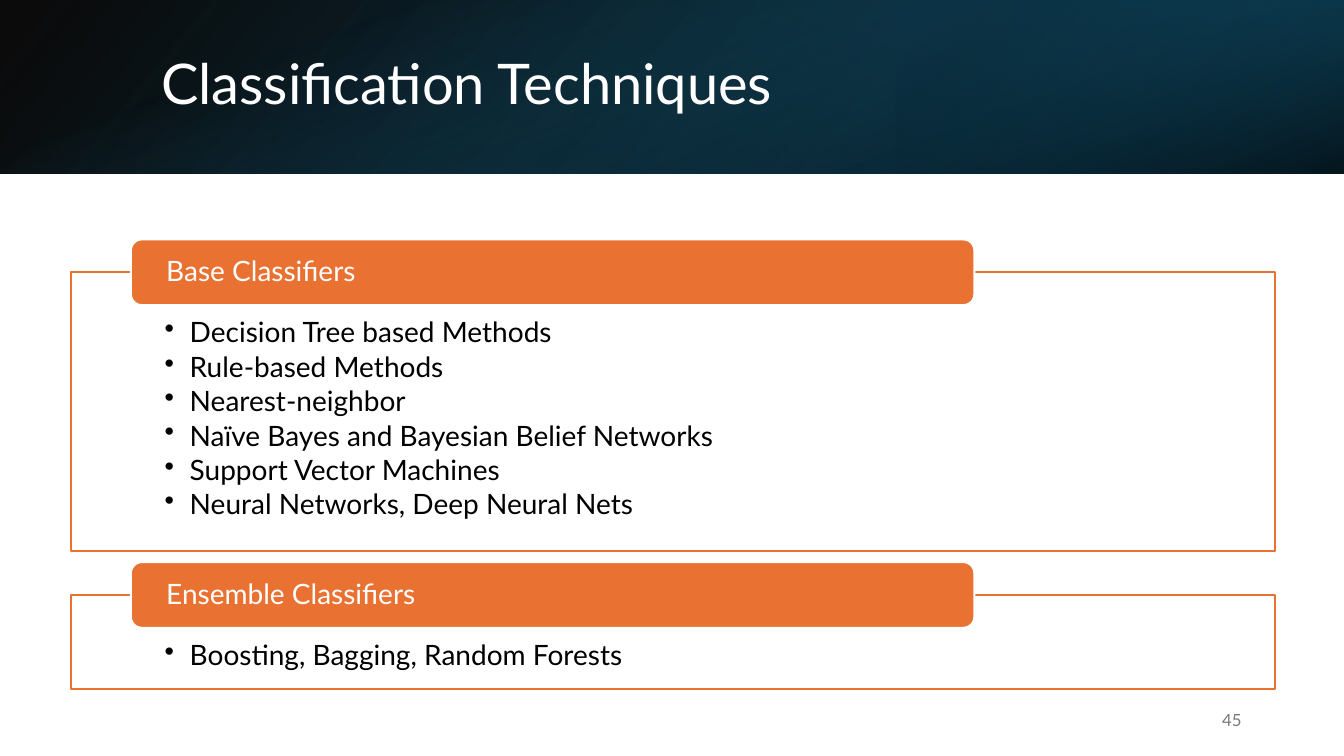
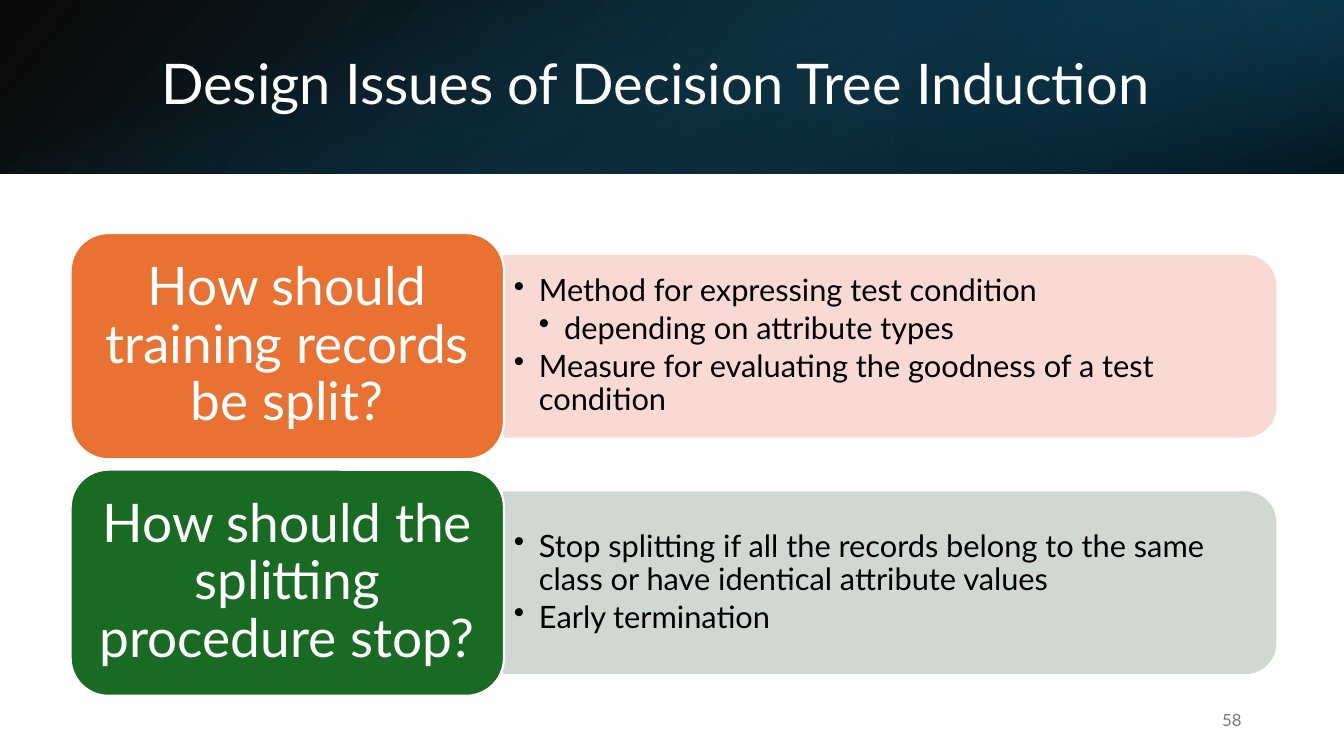
import lxml.etree
import pptx
import pptx.dml.color
import pptx.enum.shapes
import pptx.enum.text
import pptx.oxml.ns
import pptx.util

Pt = pptx.util.Pt
Kind = pptx.enum.shapes.MSO_SHAPE
Align = pptx.enum.text.PP_ALIGN
Anchor = pptx.enum.text.MSO_ANCHOR
qn = pptx.oxml.ns.qn
colour = pptx.dml.color.RGBColor.from_string

WHITE, BLACK, GREY = "FFFFFF", "000000", "797979"
ORANGE, GREEN = "E97132", "196B24"
PALE_ORANGE, PALE_GREEN = "F8D9D3", "D1D8D2"
WIDTH, HEIGHT, BAND_HEIGHT = 960, 540, 124
MARGIN, CONTENT_WIDTH = 50.5, 860.5


def add_panel(slide, kind, left, top, width, height, fill, line):
    panel = slide.shapes.add_shape(kind, Pt(left), Pt(top), Pt(width), Pt(height))
    panel.shadow.inherit = False
    panel.fill.solid()
    panel.fill.fore_color.rgb = colour(fill)
    panel.line.color.rgb = colour(line)
    panel.line.width = Pt(1.5)
    return panel


def write(shape, lines, size, ink, insets=(7.2, 3.6), align=Align.LEFT, anchor=Anchor.MIDDLE):
    frame = shape.text_frame
    frame.word_wrap = True
    frame.auto_size = pptx.enum.text.MSO_AUTO_SIZE.NONE
    frame.vertical_anchor = anchor
    frame.margin_left = frame.margin_right = Pt(insets[0])
    frame.margin_top, frame.margin_bottom = Pt(insets[1]), Pt(insets[-1])
    for number, (depth, text) in enumerate(lines):
        paragraph = frame.add_paragraph() if number else frame.paragraphs[0]
        paragraph.text = text
        paragraph.alignment = align
        paragraph.line_spacing = 0.9
        if depth:
            paragraph.level = depth
            paragraph.space_after = Pt(size * 0.15)
            properties = paragraph._p.get_or_add_pPr()
            properties.set("marL", str(Pt(18 * depth)))
            properties.set("indent", str(Pt(-18)))
            lxml.etree.SubElement(properties, qn("a:buChar")).set("char", "•")
        paragraph.font.name = "Lato"
        paragraph.font.size = Pt(size)
        paragraph.font.color.rgb = colour(ink)


band_layers = [
    ((0, 0, WIDTH, BAND_HEIGHT), 0, True, 140,
     [(0, BLACK, 96), (1, "104862", 100)]),
    ((640, 0, 320, BAND_HEIGHT), 180, True, 320,
     [(0.19, "0B3041", 68), (1, "156082", 79)]),
    (((WIDTH - BAND_HEIGHT) / 2, (BAND_HEIGHT - WIDTH) / 2, BAND_HEIGHT, WIDTH), 90, False, 340,
     [(0.23, "156082", 0), (0.99, BLACK, 74)]),
]

presentation = pptx.Presentation()
presentation.slide_width, presentation.slide_height = Pt(WIDTH), Pt(HEIGHT)

pages = []
for heading, page_number in [
    ("Classification Techniques", "45"),
    ("Design Issues of Decision Tree Induction", "58"),
]:
    slide = presentation.slides.add_slide(presentation.slide_layouts[5])
    pages.append(slide)
    for box, rotation, flipped, angle, stops in band_layers:
        layer = add_panel(slide, Kind.RECTANGLE, *box, BLACK, BLACK)
        layer.line.fill.background()
        layer.rotation = rotation
        if flipped:
            layer._element.spPr.xfrm.set("flipH", "1")
        layer.fill.gradient()
        layer.fill.gradient_angle = 360 - angle
        for stop, (position, tint, opacity) in zip(layer.fill.gradient_stops, stops):
            stop.position = position
            stop.color.rgb = colour(tint)
        for tint_element, (position, tint, opacity) in zip(
            layer._element.spPr.iter(qn("a:srgbClr")), stops
        ):
            lxml.etree.SubElement(tint_element, qn("a:alpha")).set("val", str(opacity * 1000))

    title = slide.shapes.title
    slide.shapes._spTree.append(title._element)
    title.left, title.top, title.width, title.height = Pt(108), Pt(27.5), Pt(790.5), Pt(69)
    write(title, [(0, heading)], 40, WHITE)
    footer = slide.shapes.add_textbox(Pt(678), Pt(500.5), Pt(216), Pt(28.5))
    write(footer, [(0, page_number)], 12, GREY, align=Align.RIGHT)

techniques, design_issues = pages

HEADER_HEIGHT = 47
header_top = 171
for family, frame_height, methods in [
    ("Base Classifiers", 199, [
        "Decision Tree based Methods",
        "Rule-based Methods",
        "Nearest-neighbor",
        "Naïve Bayes and Bayesian Belief Networks",
        "Support Vector Machines",
        "Neural Networks, Deep Neural Nets",
    ]),
    ("Ensemble Classifiers", 67, ["Boosting, Bagging, Random Forests"]),
]:
    frame_top = header_top + HEADER_HEIGHT / 2
    method_frame = add_panel(techniques, Kind.RECTANGLE, MARGIN, frame_top,
                             CONTENT_WIDTH, frame_height, WHITE, ORANGE)
    write(method_frame, [(1, method) for method in methods], 20, BLACK,
          insets=(67, 33, 11.5), anchor=Anchor.TOP)
    family_header = add_panel(techniques, Kind.ROUNDED_RECTANGLE, 93.5, header_top,
                              602.5, HEADER_HEIGHT, ORANGE, WHITE)
    write(family_header, [(0, family)], 20, WHITE, insets=(23, 0))
    header_top = frame_top + frame_height + 8

QUESTION_WIDTH, QUESTION_HEIGHT, QUESTION_PITCH = 309.5, 161.5, 169
ANSWER_LEFT, ANSWER_HEIGHT = MARGIN + QUESTION_WIDTH, 129
ANSWER_WIDTH = CONTENT_WIDTH - QUESTION_WIDTH
for row, (question, strong, pale, answers) in enumerate([
    ("How should training records be split?", ORANGE, PALE_ORANGE, [
        (1, "Method for expressing test condition"),
        (2, "depending on attribute types"),
        (1, "Measure for evaluating the goodness of a test condition"),
    ]),
    ("How should the splitting procedure stop?", GREEN, PALE_GREEN, [
        (1, "Stop splitting if all the records belong to the same class "
            "or have identical attribute values"),
        (1, "Early termination"),
    ]),
]):
    question_top = 166.5 + row * QUESTION_PITCH
    middle = question_top + QUESTION_HEIGHT / 2
    answer_panel = add_panel(design_issues, Kind.ROUND_2_SAME_RECTANGLE,
                             ANSWER_LEFT + (ANSWER_WIDTH - ANSWER_HEIGHT) / 2,
                             middle - ANSWER_WIDTH / 2,
                             ANSWER_HEIGHT, ANSWER_WIDTH, pale, pale)
    answer_panel.rotation = 90
    answer_text = design_issues.shapes.add_textbox(
        Pt(ANSWER_LEFT + 0.5), Pt(middle - 58), Pt(544.5), Pt(116))
    write(answer_text, answers, 22, BLACK, insets=(6.5, 3.5))
    question_panel = add_panel(design_issues, Kind.ROUNDED_RECTANGLE, MARGIN, question_top,
                               QUESTION_WIDTH, QUESTION_HEIGHT, strong, WHITE)
    write(question_panel, [(0, question)], 38, WHITE, insets=(11.5, 5.5), align=Align.CENTER)

presentation.save("out.pptx")
